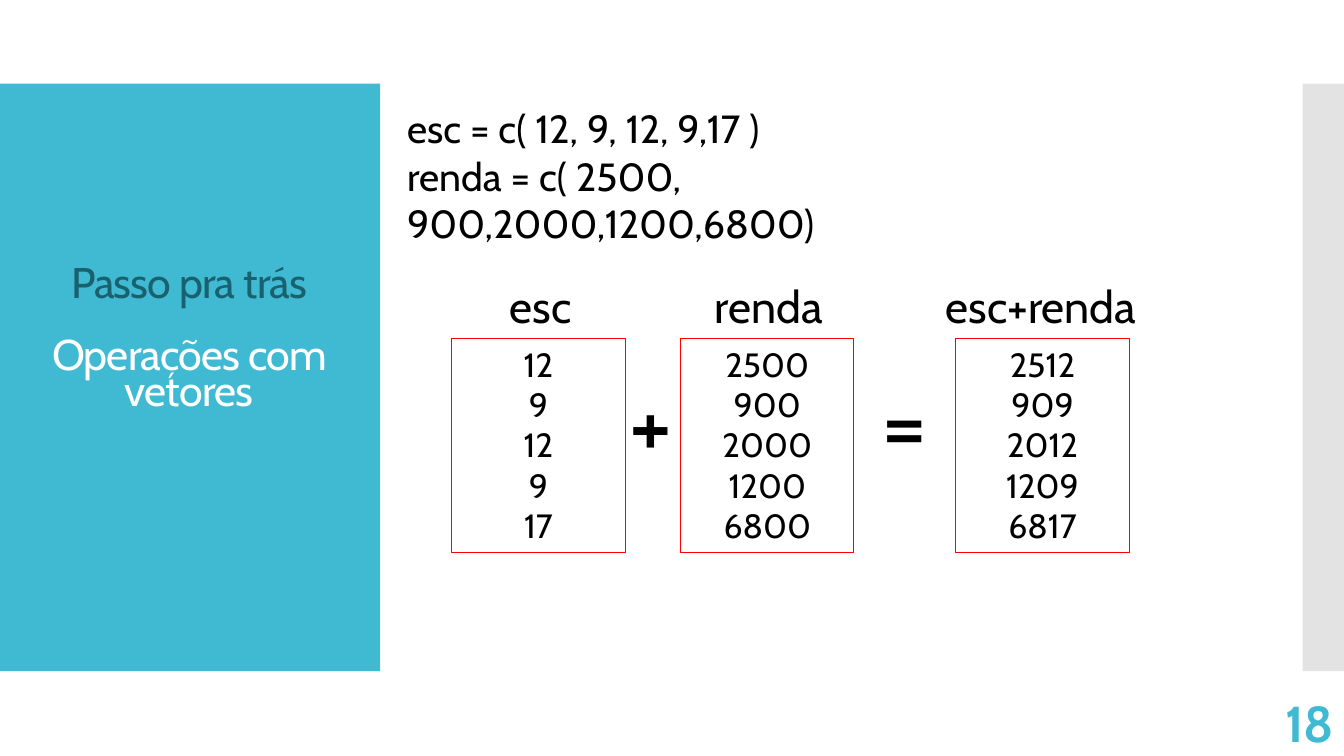
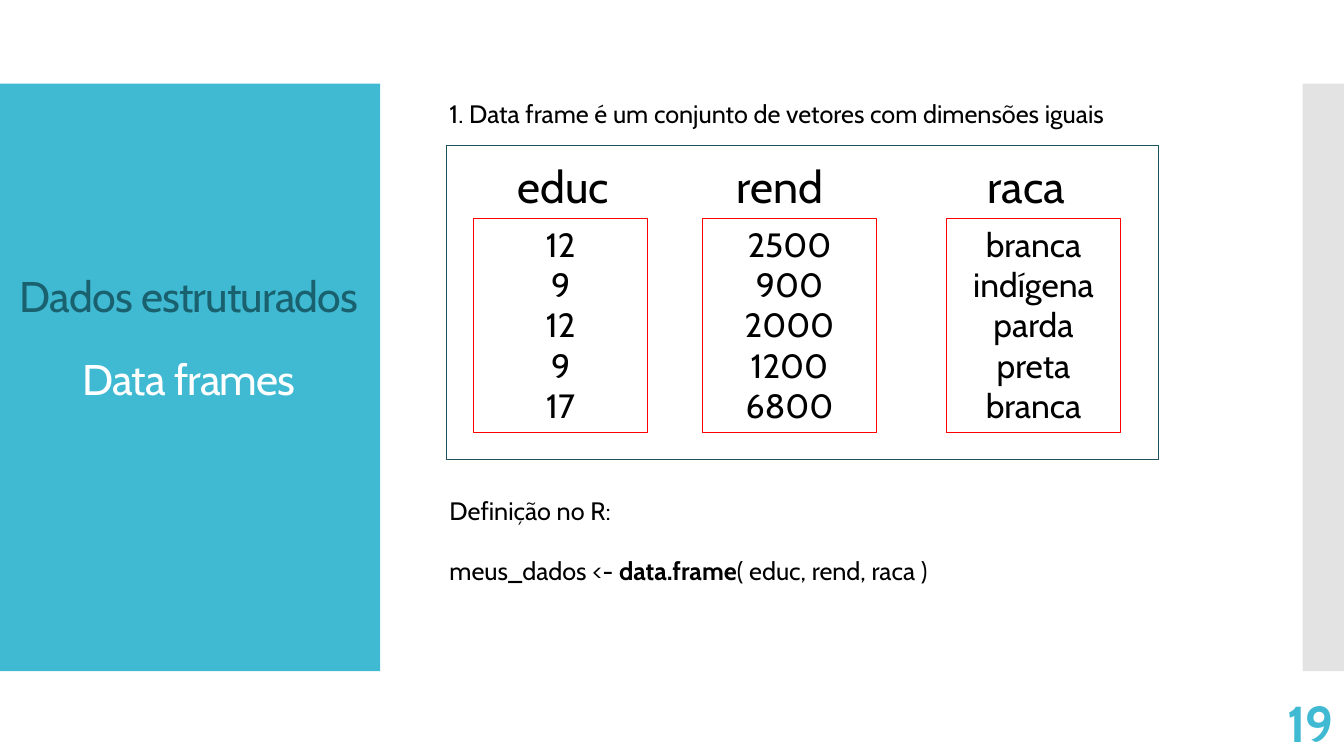
from lxml.etree import SubElement
from pptx import Presentation
from pptx.dml.color import RGBColor
from pptx.enum.shapes import MSO_SHAPE
from pptx.enum.text import MSO_ANCHOR as ANCHOR, PP_ALIGN as ALIGN
from pptx.oxml.ns import qn
from pptx.util import Inches, Pt

FONT = "Cabin"
TEAL, DARK_TEAL, FRAME_TEAL = "40BAD2", "1A616F", "1C525C"
GREY, RED, BLACK, WHITE = "C8C8C8", "FF0000", "000000", "FFFFFF"

TITLE_SIZE, TITLE_TRACKING = 30.6, -0.6
LINE_HEIGHT = 1.2
BAND_TOP, BAND_HEIGHT = 0.83, 5.83
VECTOR_WIDTH, VECTOR_HEIGHT, LABEL_HEIGHT = 1.72, 2.12, 0.64

ESC = ["12", "9", "12", "9", "17"]
RENDA = ["2500", "900", "2000", "1200", "6800"]
SOMA = ["2512", "909", "2012", "1209", "6817"]
RACA = ["branca", "indígena", "parda", "preta", "branca"]

SLIDES = [
    {
        "title": ("Passo pra trás", "Operações com vetores"),
        "title_spacing": 0.7,
        "number": "18",
        "vectors_top": 3.36,
        "vectors": [
            (4.48, ESC, "esc", 4.75, 1.23, ALIGN.CENTER),
            (6.75, RENDA, "renda", 6.99, 1.4, ALIGN.LEFT),
            (9.48, SOMA, "esc+renda", 9.28, 2.12, ALIGN.LEFT),
        ],
        "operators": [("+", 6.14), ("=", 8.64)],
        "notes": [
            ((3.94, 0.99, 6.23, 1.04), 28, 0, [
                [("esc = c( 12, 9, 12, 9,17 )", False)],
                [("renda = c( 2500, 900,2000,1200,6800)", False)],
            ]),
        ],
        "frame": None,
    },
    {
        "title": ("Dados estruturados", "Data frames"),
        "title_spacing": 0.8,
        "number": "19",
        "vectors_top": 2.17,
        "vectors": [
            (4.7, ESC, "educ", 4.97, 1.23, ALIGN.CENTER),
            (6.97, RENDA, "rend", 7.21, 1.4, ALIGN.LEFT),
            (9.39, RACA, "raca", 9.7, 1.23, ALIGN.LEFT),
        ],
        "operators": [],
        "notes": [
            ((4.36, 0.93, 6.74, 0.4), 18, 0, [
                [("1. Data frame é um conjunto de vetores com dimensões iguais", False)],
            ]),
            ((4.36, 4.86, 4.97, 1.01), 18, 18 * LINE_HEIGHT, [
                [("Definição no R:", False)],
                [("meus_dados <- ", False), ("data.frame", True),
                 ("( educ, rend, raca )", False)],
            ]),
        ],
        "frame": (4.43, 1.44, 7.06, 3.12),
    },
]


def color(hex_value):
    return RGBColor.from_string(hex_value)


def add_rect(slide, box, fill=None, alpha=None, line=None, line_width=0.75):
    rect = slide.shapes.add_shape(MSO_SHAPE.RECTANGLE, *map(Inches, box))
    rect.shadow.inherit = False
    if fill:
        rect.fill.solid()
        rect.fill.fore_color.rgb = color(fill)
        if alpha:
            srgb = rect.fill._xPr.find(qn("a:solidFill")).find(qn("a:srgbClr"))
            SubElement(srgb, qn("a:alpha")).set("val", str(alpha * 1000))
    else:
        rect.fill.background()
    if line:
        rect.line.color.rgb = color(line)
        rect.line.width = Pt(line_width)
    else:
        rect.line.fill.background()
    return rect


def add_run(paragraph, text, size, hex_value=BLACK, bold=False):
    run = paragraph.add_run()
    run.text = text
    run.font.name = FONT
    run.font.size = Pt(size)
    run.font.bold = bold
    run.font.color.rgb = color(hex_value)
    return run


def write(frame, lines, size, align=ALIGN.LEFT, gap=0, anchor=ANCHOR.TOP, wrap=True):
    frame.word_wrap = wrap
    frame.vertical_anchor = anchor
    for index, runs in enumerate(lines):
        paragraph = frame.add_paragraph() if index else frame.paragraphs[0]
        paragraph.alignment = align
        if index and gap:
            paragraph.space_before = Pt(gap)
        for run in runs:
            add_run(paragraph, run[0], size, *run[1:])


def add_text(slide, box, lines, size, **style):
    frame = slide.shapes.add_textbox(*map(Inches, box)).text_frame
    write(frame, lines, size, **style)
    return frame


def add_layout(slide, title, spacing, number):
    add_rect(slide, (0, BAND_TOP, 3.77, BAND_HEIGHT), TEAL)
    add_rect(slide, (12.92, BAND_TOP, 0.42, BAND_HEIGHT), GREY, alpha=50)
    topic, subject = title
    heading = add_text(slide, (0, 2.6, 3.75, 1.58),
                       [[(topic, DARK_TEAL)], [(subject, WHITE)]], TITLE_SIZE,
                       align=ALIGN.CENTER, anchor=ANCHOR.MIDDLE,
                       gap=round(TITLE_SIZE * LINE_HEIGHT * spacing, 1))
    for paragraph in heading.paragraphs:
        paragraph.line_spacing = spacing
        for run in paragraph.runs:
            run.font._element.set("spc", str(round(TITLE_TRACKING * 100)))
    add_text(slide, (11.66, 6.97, 1.67, 0.4), [[(number, TEAL, True)]], 36,
             align=ALIGN.RIGHT, anchor=ANCHOR.MIDDLE)


def add_vector(slide, top, left, values, label, label_left, label_width, label_align):
    add_text(slide, (label_left, top - LABEL_HEIGHT, label_width, LABEL_HEIGHT),
             [[(label,)]], 32, align=label_align)
    column = add_rect(slide, (left, top, VECTOR_WIDTH, VECTOR_HEIGHT), line=RED)
    write(column.text_frame, [[(value,)] for value in values], 24, align=ALIGN.CENTER)


deck = Presentation()
deck.slide_width, deck.slide_height = Inches(13.33), Inches(7.5)

for content in SLIDES:
    slide = deck.slides.add_slide(deck.slide_layouts[6])
    add_layout(slide, content["title"], content["title_spacing"], content["number"])
    for vector in content["vectors"]:
        add_vector(slide, content["vectors_top"], *vector)
    for sign, left in content["operators"]:
        add_text(slide, (left, 3.57, 0.68, 1.21), [[(sign,)]], 66, wrap=False)
    for box, size, gap, lines in content["notes"]:
        add_text(slide, box, [[(text, BLACK, bold) for text, bold in line] for line in lines],
                 size, gap=gap)
    if content["frame"]:
        add_rect(slide, content["frame"], line=FRAME_TEAL, line_width=0.85)

deck.save("out.pptx")
